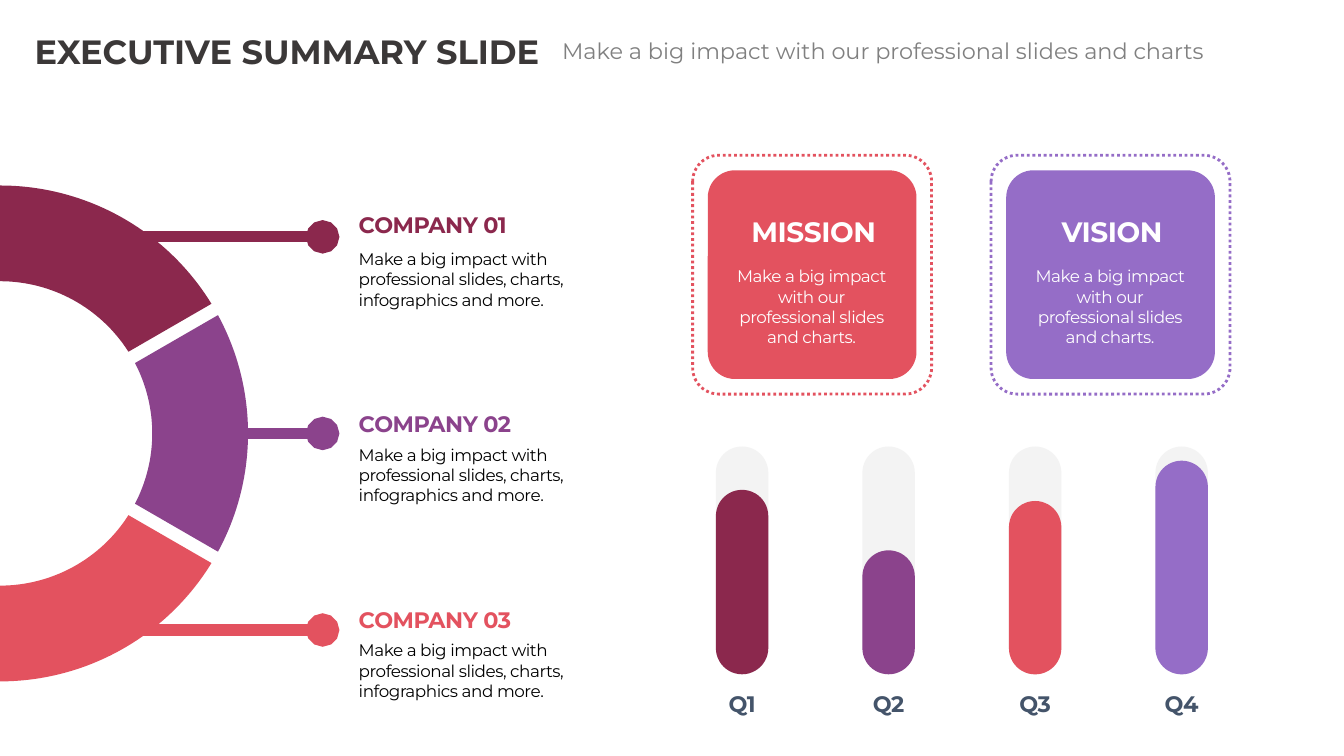
from dataclasses import dataclass
from math import asin, cos, radians, sin, tan

from lxml.etree import Element, SubElement
from pptx import Presentation
from pptx.dml.color import RGBColor
from pptx.enum.dml import MSO_LINE
from pptx.enum.shapes import MSO_CONNECTOR as Connector, MSO_SHAPE as Shape
from pptx.enum.text import MSO_ANCHOR as Anchor, MSO_AUTO_SIZE as AutoSize, PP_ALIGN as Align
from pptx.oxml.ns import qn
from pptx.util import Inches, Pt


@dataclass(frozen=True)
class Theme:
    font: str = "Montserrat"
    wine: str = "8B284D"
    plum: str = "8B438C"
    coral: str = "E3525F"
    violet: str = "956DC7"
    ink: str = "3B3838"
    gray: str = "808080"
    slate: str = "44546A"
    track: str = "D9D9D9"
    black: str = "000000"
    white: str = "FFFFFF"
    title_size: int = 24
    card_size: int = 20
    heading_size: int = 16
    body_size: int = 12


THEME = Theme()
TITLE = "EXECUTIVE SUMMARY SLIDE"
SUBTITLE = "Make a big impact with our professional slides and charts"
COMPANY_TEXT = "Make a big impact with professional slides, charts, infographics and more."
CARD_TEXT = "Make a big impact with our professional slides and charts."

# name, colour, tops of heading and text, ring angles from and to, end of pointer
COMPANIES = [
    ("COMPANY 01", THEME.wine, 2.04, 2.11, 90, 30, 0.85),
    ("COMPANY 02", THEME.plum, 4.02, 4.05, 30, -30, 1.82),
    ("COMPANY 03", THEME.coral, 5.96, 5.99, -30, -90, 0.85),
]
CARDS = [("MISSION", THEME.coral), ("VISION", THEME.violet)]
QUARTERS = [
    ("Q1", 1.83, THEME.wine),
    ("Q2", 1.23, THEME.plum),
    ("Q3", 1.72, THEME.coral),
    ("Q4", 2.12, THEME.violet),
]

RING_CENTER_Y, RING_OUTER, RING_INNER, HALF_GAP = 4.3, 2.46, 1.51, 0.065
ROW_PITCH, DOT_X, COMPANY_X = 1.95, 3.2, 3.46
CARD_X, CARD_Y, CARD_SIDE, CARD_PITCH, FRAME_MARGIN = 7.02, 1.69, 2.07, 2.96, 0.15
BAR_X, LAST_BAR_X, BAR_TOP, BAR_WIDTH, BAR_HEIGHT = 7.1, 11.46, 4.43, 0.52, 2.26


def write(shape, text, size, color, bold=False, align=Align.LEFT,
          anchor=Anchor.MIDDLE, spacing=0):
    """Fill a shape with one formatted paragraph; spacing is in points."""
    frame = shape.text_frame
    frame_format = {"word_wrap": True, "auto_size": AutoSize.NONE, "vertical_anchor": anchor}
    for name, value in frame_format.items():
        setattr(frame, name, value)
    paragraph = frame.paragraphs[0]
    paragraph.alignment = align
    run = paragraph.add_run()
    run.text = text
    for name, value in {"name": THEME.font, "size": Pt(size), "bold": bold}.items():
        setattr(run.font, name, value)
    run.font.color.rgb = RGBColor.from_string(color)
    if spacing:
        run.font._element.set("spc", str(round(spacing * 100)))


def add_text(slide, box, *content, **formats):
    write(slide.shapes.add_textbox(*map(Inches, box)), *content, **formats)


def paint(shape, color):
    shape.shadow.inherit = False
    shape.fill.solid()
    shape.fill.fore_color.rgb = RGBColor.from_string(color)
    shape.line.fill.background()


def add_rounded(slide, box, roundness, color):
    shape = slide.shapes.add_shape(Shape.ROUNDED_RECTANGLE, *map(Inches, box))
    shape.adjustments[0] = roundness
    paint(shape, color)
    return shape


def ring_point(radius, angle, pull=0):
    """Point on the ring, moved along its tangent by pull radii."""
    x = radius * (cos(angle) - pull * sin(angle))
    y = RING_CENTER_Y - radius * (sin(angle) + pull * cos(angle))
    return Inches(x), Inches(y)


def arc_angles(radius, start, end):
    """Start, middle and end; edges that meet a neighbour leave a parallel gap."""
    gap = asin(HALF_GAP / radius)
    first = radians(start) - (gap if start < 90 else 0)
    last = radians(end) + (gap if end > -90 else 0)
    return [first, (first + last) / 2, last]


def bend(shape, line, radius, first, last):
    """Replace a straight side of a freeform with an arc of the ring."""
    pull = 4 / 3 * tan((last - first) / 4)
    curve = Element(qn("a:cubicBezTo"))
    for x, y in (ring_point(radius, first, pull), ring_point(radius, last, -pull),
                 ring_point(radius, last)):
        SubElement(curve, qn("a:pt"), x=str(x - shape.left), y=str(y - shape.top))
    line.getparent().replace(line, curve)


def add_ring_segment(slide, start, end, color):
    outer = arc_angles(RING_OUTER, start, end)
    inner = arc_angles(RING_INNER, start, end)[::-1]
    corners = [ring_point(radius, angle)
               for radius, angles in ((RING_OUTER, outer), (RING_INNER, inner))
               for angle in angles]
    builder = slide.shapes.build_freeform(*corners[0])
    builder.add_line_segments(corners[1:], close=True)
    segment = builder.convert_to_shape()
    sides = list(segment._element.iter(qn("a:lnTo")))
    for radius, angles, arc_sides in ((RING_OUTER, outer, sides[:2]),
                                      (RING_INNER, inner, sides[3:5])):
        for side, first, last in zip(arc_sides, angles, angles[1:]):
            bend(segment, side, radius, first, last)
    paint(segment, color)


def add_pointer(slide, end_x, y, color):
    pointer = slide.shapes.add_connector(
        Connector.STRAIGHT, Inches(DOT_X), Inches(y), Inches(end_x), Inches(y))
    pointer.line.width = Pt(8)
    pointer.line.color.rgb = RGBColor.from_string(color)
    SubElement(pointer.line._ln, qn("a:headEnd"), type="oval")
    SubElement(pointer._element.spPr, qn("a:effectLst"))


def add_companies(slide):
    for row, (name, color, heading_top, text_top, start, end, end_x) in enumerate(COMPANIES):
        add_ring_segment(slide, start, end, color)
        add_pointer(slide, end_x, RING_CENTER_Y + (row - 1) * ROW_PITCH, color)
        add_text(slide, (COMPANY_X, heading_top, 2.43, 0.37), name,
                 THEME.heading_size, color, bold=True, spacing=-0.3)
        add_text(slide, (COMPANY_X, text_top, 2.43, 1.32), COMPANY_TEXT,
                 THEME.body_size, THEME.black, spacing=-0.3)


def add_cards(slide):
    for column, (name, color) in enumerate(CARDS):
        x = CARD_X + column * CARD_PITCH
        frame_side = CARD_SIDE + 2 * FRAME_MARGIN
        frame = add_rounded(slide, (x - FRAME_MARGIN, CARD_Y - FRAME_MARGIN,
                                    frame_side, frame_side), 0.11, color)
        frame.fill.background()
        frame.line.color.rgb = RGBColor.from_string(color)
        frame.line.width = Pt(2)
        frame.line.dash_style = MSO_LINE.ROUND_DOT
        add_rounded(slide, (x, CARD_Y, CARD_SIDE, CARD_SIDE), 0.13, color)
        add_text(slide, (x + 0.16, 2.07, 1.78, 0.44), name, THEME.card_size,
                 THEME.white, bold=True, align=Align.CENTER, spacing=-0.3)
        add_text(slide, (x + 0.14, 2.38, 1.78, 1.32), CARD_TEXT, THEME.body_size,
                 THEME.white, align=Align.CENTER, spacing=-0.3)


def add_quarters(slide):
    pitch = (LAST_BAR_X - BAR_X) / (len(QUARTERS) - 1)
    for column, (name, height, color) in enumerate(QUARTERS):
        x = BAR_X + column * pitch
        track = add_rounded(slide, (x, BAR_TOP, BAR_WIDTH, BAR_HEIGHT), 0.5, THEME.track)
        track_color = track._element.spPr.find(f"{qn('a:solidFill')}/{qn('a:srgbClr')}")
        SubElement(track_color, qn("a:alpha"), val="30000")
        bar_top = BAR_TOP + BAR_HEIGHT - height
        add_rounded(slide, (x, bar_top, BAR_WIDTH, height), 0.5, color)
        add_text(slide, (x - 0.06, 6.76, 0.64, 0.44), name, THEME.heading_size,
                 THEME.slate, bold=True, align=Align.CENTER, spacing=-0.3)


def main():
    presentation = Presentation()
    presentation.slide_width, presentation.slide_height = Inches(13.33), Inches(7.5)
    slide = presentation.slides.add_slide(presentation.slide_layouts[5])
    title = slide.shapes.title
    for name, value in {"left": 0.11, "top": 0.26, "width": 5.47, "height": 0.5}.items():
        setattr(title, name, Inches(value))
    write(title, TITLE, THEME.title_size, THEME.ink, bold=True,
          align=Align.CENTER, anchor=Anchor.BOTTOM)
    add_text(slide, (5.21, 0.32, 7.1, 0.37), SUBTITLE, THEME.heading_size,
             THEME.gray, align=Align.CENTER, anchor=Anchor.TOP)
    add_companies(slide)
    add_cards(slide)
    add_quarters(slide)
    presentation.save("out.pptx")


if __name__ == "__main__":
    main()
